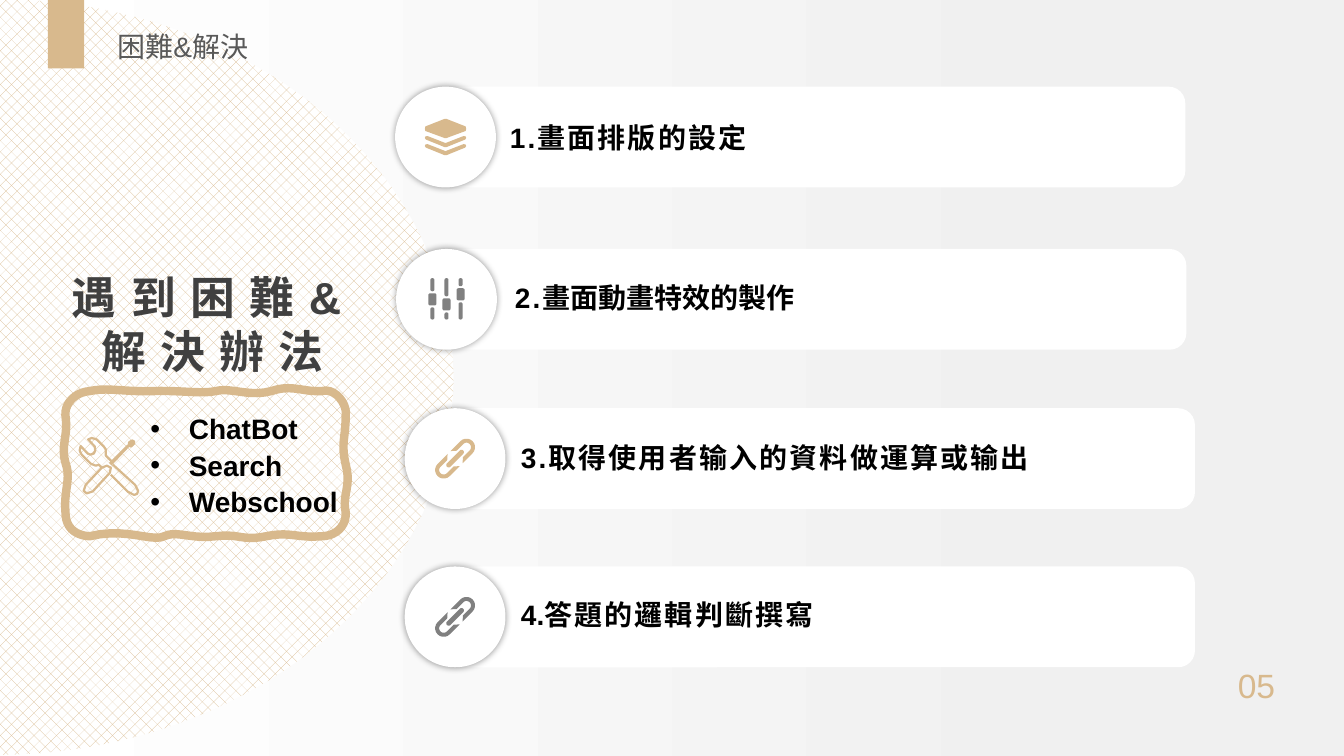
"""Build the slide on difficulties and their solutions."""
from math import cos, pi, sin, sqrt
from lxml.etree import SubElement as Sub
from pptx import Presentation
from pptx.dml.color import RGBColor as Rgb
from pptx.enum.dml import MSO_PATTERN as Pat
from pptx.enum.shapes import MSO_SHAPE as Kind
from pptx.enum.text import MSO_AUTO_SIZE as Fit, PP_ALIGN as Align
from pptx.oxml.ns import qn
from pptx.util import Inches, Pt

CELL = Inches(0.1)
COLS, ROWS = 133.33, 75
HUES = {
    "tan": "D8B98D", "white": "FFFFFF", "pale": "F0F0F0", "gray": "808080",
    "dark": "404040", "mid": "595959", "black": "000000",
}


def hue(name):
    return Rgb.from_string(HUES[name])


def grid(*cells):
    return [round(cell * CELL) for cell in cells]


def paint(shape, fill=None, line=None, width=1):
    shape.shadow.inherit = False
    if fill:
        shape.fill.solid()
        shape.fill.fore_color.rgb = hue(fill)
    else:
        shape.fill.background()
    if line:
        shape.line.color.rgb = hue(line)
        shape.line.width = Pt(width)
    else:
        shape.line.fill.background()
    return shape


def block(shapes, kind, box, fill):
    return paint(shapes.add_shape(kind, *grid(*box)), fill)


def trace(shapes, *parts, shut=True, **look):
    parts = [[grid(*dot) for dot in part] for part in parts]
    pen = shapes.build_freeform(*parts[0][0], scale=1.0)
    for n, (start, *rest) in enumerate(parts):
        if n:
            pen.move_to(*start)
        pen.add_line_segments(rest, close=shut)
    return paint(pen.convert_to_shape(), **look)


def shift(part, x, y):
    return [(x + a, y + b) for a, b in part]


def arc(x, y, size, start, turn, steps=10):
    angles = [start + turn * n / steps for n in range(steps + 1)]
    return [(x + size * cos(a), y + size * sin(a)) for a in angles]


def curve(start, parts, steps=10):
    dots = [start]
    for part in parts:
        ends = [dots[-1], *part]
        for step in range(1, steps + 1):
            t = step / steps
            rates = ((1 - t) ** 3, 3 * t * (1 - t) ** 2, 3 * t * t * (1 - t), t ** 3)
            dots.append(tuple(sum(r * end[axis] for r, end in zip(rates, ends))
                              for axis in (0, 1)))
    return dots


def write(shapes, box, paras, size=20, color="black", bold=False,
          align=None, gap=0, mark=None, lead=None):
    frame = shapes.add_textbox(*grid(*box)).text_frame
    frame.word_wrap = True
    frame.auto_size = Fit.SHAPE_TO_FIT_TEXT
    for n, runs in enumerate(paras):
        para = frame.add_paragraph() if n else frame.paragraphs[0]
        para.alignment = align
        if lead:
            para.line_spacing = Pt(lead)
        if mark:
            props = para._p.get_or_add_pPr()
            props.set("marL", str(Inches(0.38)))
            props.set("indent", str(-Inches(0.38)))
            Sub(props, qn("a:buFont")).set("typeface", "Arial")
            Sub(props, qn("a:buChar")).set("char", mark)
        for text, space in [(runs, gap)] if isinstance(runs, str) else runs:
            run = para.add_run()
            run.text = text
            font = run.font
            font.name, font.size, font.bold = "Arial", Pt(size), bold
            font.color.rgb = hue(color)
            if space:
                run._r.get_or_add_rPr().set("spc", str(round(space * 100)))


def glow(shape):
    shade = Sub(shape._element.spPr.find(qn("a:effectLst")), qn("a:outerShdw"))
    shade.set("blurRad", str(Pt(5)))
    shade.set("dist", "0")
    tint = Sub(shade, qn("a:srgbClr"))
    tint.set("val", HUES["black"])
    Sub(tint, qn("a:alpha")).set("val", "40000")


def layers(shapes, x, y, color):
    top = [(-0.1, -1.8), (0.1, -1.8), (2, -1.05), (2.05, -0.8), (2, -0.6),
           (0.1, 0.1), (-0.1, 0.1), (-2, -0.6), (-2.05, -0.8), (-2, -1.05)]
    fold = [(-1.8, -0.1), (0, 0.6), (1.8, -0.1), (2, -0.05), (2.05, 0.1),
            (1.95, 0.25), (0.1, 1), (-0.1, 1), (-1.95, 0.25), (-2.05, 0.1),
            (-2, -0.05)]
    trace(shapes, *[shift(part, x, y) for part in (top, fold, shift(fold, 0, 0.8))],
          fill=color)


def pill(x, top, end, wide):
    side, r = wide / 2 - 0.18, 0.18
    spots = ((x + side, end - r), (x - side, end - r),
             (x - side, top + r), (x + side, top + r))
    return [dot for n, spot in enumerate(spots)
            for dot in arc(*spot, r, n * pi / 2, pi / 2, 4)]


def sliders(shapes, x, y, color):
    parts = []
    for col, knob in enumerate((-0.6, -0.1, -1.1)):
        for top, end, wide in ((-2.1, knob - 0.2, 0.4), (knob, knob + 1.2, 0.8),
                               (knob + 1.4, 2, 0.4)):
            parts.append(pill(x + 1.4 * (col - 1), y + top, y + end, wide))
    trace(shapes, *parts, fill=color)


def link(shapes, x, y, color):
    loop = [(0.2, 0.85), *arc(1.6, 0, 0.85, pi / 2, -pi), (0.2, -0.85),
            (0.65, -0.45), *arc(1.6, 0, 0.45, -pi / 2, pi), (0.65, 0.45)]
    ring = [(-a, -b) for a, b in loop]
    bar = arc(0.9, 0, 0.24, -pi / 2, pi) + arc(-0.9, 0, 0.24, pi / 2, pi)
    trace(shapes, *[[(x + (a + b) / sqrt(2), y + (b - a) / sqrt(2)) for a, b in part]
                    for part in (loop, ring, bar)], fill=color)


def tools(shapes):
    head = [(11.1, 45.8), (10.5, 45.2), (10.5, 44.6), (10.3, 44.3), (9.6, 43.6),
            (9.1, 43.45), (8.75, 43.6), (9.4, 44.3), (9.45, 44.7), (9.3, 45),
            (9, 45.1), (8.7, 45), (8, 44.25), (7.9, 44.7), (8.1, 45.1),
            (9, 46), (9.5, 46.2), (9.8, 46.1), (10.1, 46.4)]
    grip = [(11, 47.1), (12.7, 48.8), (13.3, 49.1), (13.6, 49), (13.7, 48.7),
            (13.4, 48.1), (11.2, 46.1)]
    haft = [(8.5, 48.1), (10.1, 46.4), (10.6, 46.2), (11, 46.4), (10.9, 46.9),
            (9.2, 48.75), (8.6, 48.95), (8.3, 48.7), (8.5, 48.1)]
    rod = [(11, 46.1), (12.8, 44.2), (12.8, 43.9), (13.1, 43.7), (13.3, 43.8),
           (13.3, 44), (13, 44.3), (12.7, 44.2), (10.9, 46)]
    knob = arc(13.05, 44, 0.15, 0, 2 * pi)
    trace(shapes, head, grip, haft, rod, knob, shut=False, line="tan", width=1.6)


def row(slide, x, y, draw, color, runs, dx, dy):
    shapes = slide.shapes.add_group_shape().shapes
    block(shapes, Kind.ROUNDED_RECTANGLE, (x + 4.4, y, 74, 10), "white")
    glow(block(shapes, Kind.OVAL, (x, y, 10, 10), "white"))
    draw(shapes, x + 5, y + 5, color)
    write(shapes, (x + dx, y + dy, 57.6, 4.4), [runs], bold=True, gap=1.5)


def dome(shapes):
    rim = [(45.4 * a - 0.4, 37.5 * b + 37.4)
           for a, b in arc(0, 0, 1, -pi / 2, pi, 60)]
    fill = trace(shapes, rim).fill
    fill.patterned()
    fill.pattern = Pat.PERCENT_25
    fill.fore_color.rgb = hue("tan")
    fill.back_color.rgb = hue("white")


def wave(shapes):
    parts = [
        [(6.4, 40), (7.5, 38.9), (8.9, 38.8)], [(10.7, 38.4), (12.4, 38.9), (15.1, 38.8)],
        [(17.9, 38.7), (19.9, 39.1), (21.4, 38.8)], [(22.8, 38.4), (24.8, 39.4), (26.9, 38.8)],
        [(29, 38.1), (30, 38.9), (31.9, 38.8)], [(33.3, 38.4), (34.5, 40.2), (34.3, 41.2)],
        [(34.3, 43.5), (33.8, 43.9), (34.3, 46.1)], [(34.9, 48.2), (33.9, 49.2), (34.3, 50.8)],
        [(34.4, 52.2), (33.3, 53.2), (31.9, 53.2)], [(29.4, 53.4), (28.8, 52.7), (26.4, 53.2)],
        [(24, 53.7), (23.8, 52.9), (21.4, 53.2)], [(18.9, 53.5), (17.5, 52.6), (16.3, 53.2)],
        [(15.1, 53.8), (12.5, 52.3), (8.9, 53.2)], [(7.2, 53.1), (6.5, 52.1), (6.5, 50.8)],
        [(6.3, 48.6), (7.1, 47.6), (6.5, 45.9)], [(6, 44.1), (6.8, 43.4), (6.5, 41.2)],
    ]
    trace(shapes, curve((6.5, 41.2), parts), line="tan", width=6)


def main():
    deck = Presentation()
    deck.slide_width, deck.slide_height = grid(COLS, ROWS)
    slide = deck.slides.add_slide(deck.slide_layouts[6])
    shapes = slide.shapes
    back = slide.background.fill
    back.gradient()
    back.gradient_angle = 0
    for stop, name, place in zip(back.gradient_stops, ("white", "pale"), (0, 0.8)):
        stop.color.rgb = hue(name)
        stop.position = place
    dome(shapes)
    row(slide, 39.2, 8.6, layers, "tan", "1.畫面排版的設定", 10.4, 2.85)
    row(slide, 39.3, 24.7, sliders, "gray",
        [("2.", 1.5), ("畫面動畫特效的製作", 0)], 10.8, 2.6)
    row(slide, 40.15, 40.5, link, "tan", "3.取得使用者输入的資料做運算或输出", 10.55, 2.7)
    row(slide, 40.15, 56.2, link, "gray",
        [("4.", 0), ("答題的邏輯判斷撰寫", 1.5)], 10.55, 2.6)
    write(shapes, (4.65, 26.3, 31.7, 11.8), ["遇 到 困 難 &", " 解 決 辦 法"],
          size=32, color="dark", bold=True, align=Align.CENTER, gap=1.5)
    block(shapes, Kind.RECTANGLE, (4.75, 0, 3.6, 6.8), "tan")
    write(shapes, (10.65, 2.45, 22.3, 4.4), ["困難&解決"], color="mid", align=Align.JUSTIFY)
    write(shapes, (120.95, 65.5, 7.4, 5), ["05"], size=24, color="tan", align=Align.CENTER)
    tools(shapes)
    write(shapes, (13.95, 40.1, 21.3, 11.7), ["ChatBot", "Search", "Webschool"],
          bold=True, mark="•", lead=26)
    wave(shapes)
    deck.save("out.pptx")


if __name__ == "__main__":
    main()
